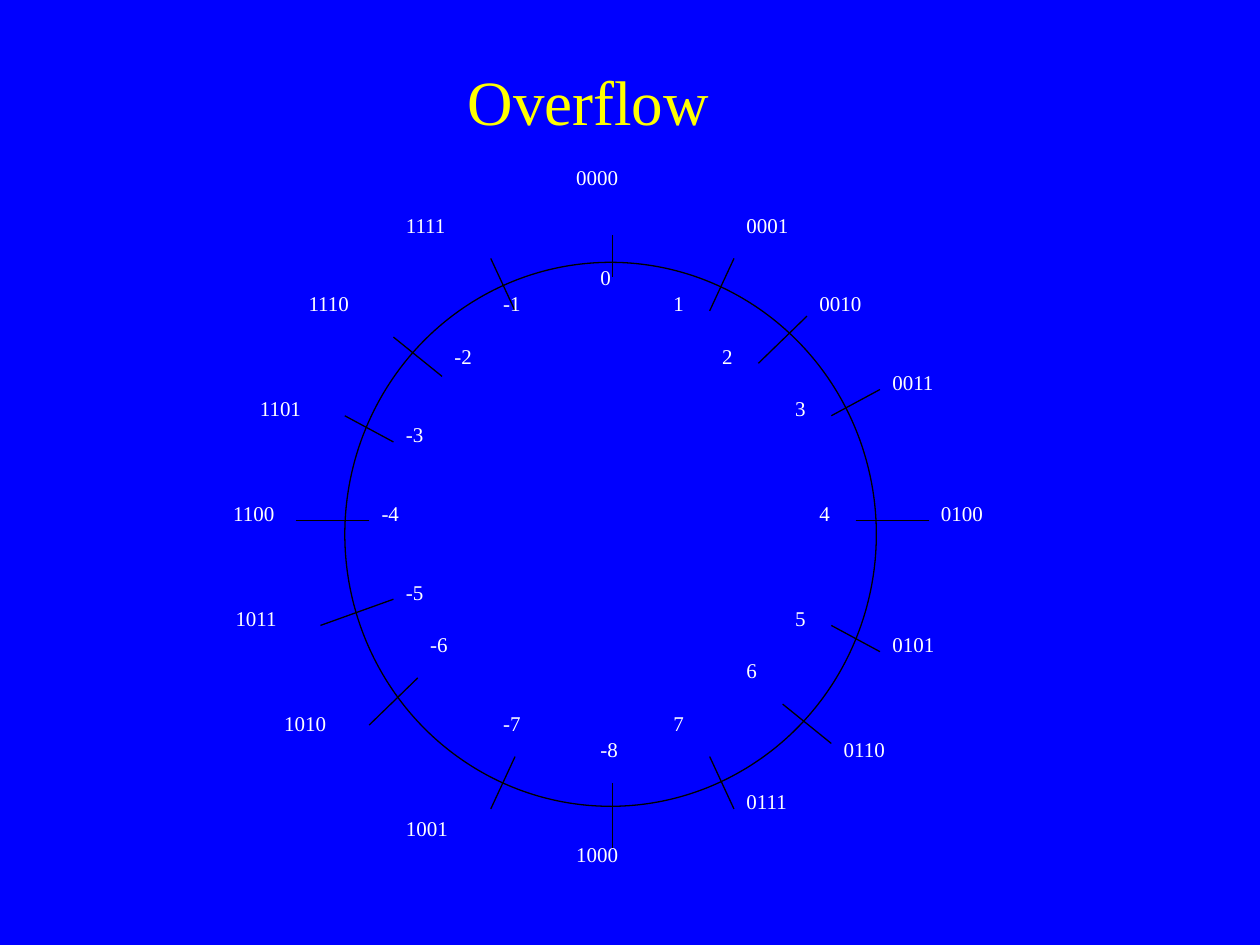
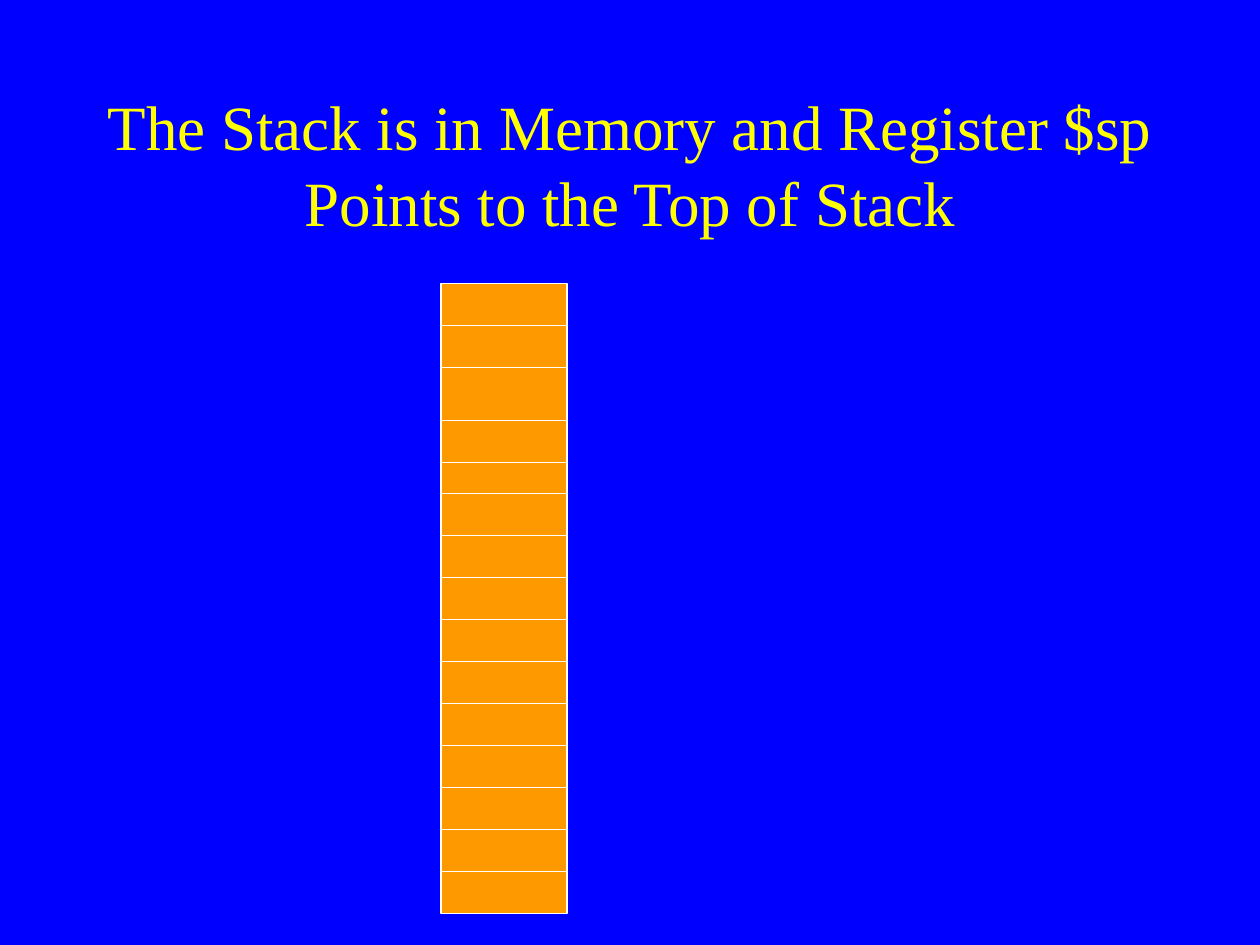
from itertools import accumulate

from lxml.etree import SubElement
from pptx import Presentation
from pptx.dml.color import RGBColor
from pptx.enum.shapes import MSO_CONNECTOR, MSO_SHAPE
from pptx.enum.text import MSO_ANCHOR, MSO_AUTO_SIZE, PP_ALIGN
from pptx.oxml.ns import qn
from pptx.util import Cm, Pt

BLUE, YELLOW, ORANGE = "0000FF", "FFFF00", "FF9900"
BLACK, WHITE = "000000", "FFFFFF"
FONT = "Times New Roman"
LINE_WIDTH = Pt(0.75)

TICKS = [
    (0, -10.9, 0, -9.3), (5, -10, 4, -8), (8, -7.8, 6, -6), (11, -5, 9, -4),
    (10, 0, 13, 0), (11, 5, 9, 4), (9, 8.5, 7, 7), (5, 11, 4, 9),
    (0, 10, 0, 12.5), (-4, 9, -5, 11), (-8, 6, -10, 7.8), (-9, 3, -12, 4),
    (-13, 0, -10, 0), (-9, -3, -11, -4), (-7, -5.5, -9, -7), (-4, -8, -5, -10),
]
CODE_SPOTS = [
    (-2, -13.8), (5, -12), (8, -9), (11, -6), (13, -1), (11, 4), (9, 8), (5, 10),
    (-2, 12), (-9, 11), (-14, 7), (-16, 3), (-16.1, -1), (-15, -5), (-13, -9), (-9, -12),
]
VALUE_SPOTS = [
    (-1, -10), (2, -9), (4, -7), (7, -5), (8, -1), (7, 3), (5, 5), (2, 7),
    (-1, 8), (-5, 7), (-8, 4), (-9, 2), (-10, -1), (-9, -4), (-7, -7), (-5, -9),
]
CELL_HEIGHTS = [4, 4, 5, 4, 3] + [4] * 10


def color(hex_code):
    return RGBColor.from_string(hex_code)


def write(frame, text, size=12, ink=WHITE, align=PP_ALIGN.LEFT, anchor=MSO_ANCHOR.TOP):
    frame.word_wrap = True
    frame.auto_size = MSO_AUTO_SIZE.NONE
    frame.vertical_anchor = anchor
    paragraph = frame.paragraphs[0]
    paragraph.alignment = align
    run = paragraph.add_run()
    run.text = text
    run.font.name = FONT
    run.font.size = Pt(size)
    run.font.color.rgb = color(ink)


def add_outline(shapes, preset, left, top, width, height, ink, fill=None):
    outline = shapes.add_shape(preset, Cm(left), Cm(top), Cm(width), Cm(height))
    outline.shadow.inherit = False
    if fill:
        outline.fill.solid()
        outline.fill.fore_color.rgb = color(fill)
    else:
        outline.fill.background()
    outline.line.color.rgb = color(ink)
    outline.line.width = LINE_WIDTH


def add_line(shapes, x1, y1, x2, y2, ink):
    line = shapes.add_connector(MSO_CONNECTOR.STRAIGHT, Cm(x1), Cm(y1), Cm(x2), Cm(y2))
    line.line.color.rgb = color(ink)
    line.line.width = LINE_WIDTH
    SubElement(line._element.spPr, qn("a:effectLst"))


def add_titled_slide(deck, text, left, top, width, height):
    slide = deck.slides.add_slide(deck.slide_layouts[5])
    title = slide.shapes.title
    title.left, title.top, title.width, title.height = map(Cm, (left, top, width, height))
    write(title.text_frame, text, size=36, ink=YELLOW,
          align=PP_ALIGN.CENTER, anchor=MSO_ANCHOR.MIDDLE)
    return slide


def draw_number_wheel(slide, left, top, width, height):
    wheel = slide.shapes.add_group_shape().shapes
    column, row = width / 26, height / 20

    def place(x, y):
        return left + (13 + x) * column, top + (10 + y) * row

    def label(text, spot, columns):
        x, y = place(*spot)
        box = wheel.add_textbox(Cm(x), Cm(y), Cm(columns * column), Cm(3 * row))
        write(box.text_frame, text)

    add_outline(wheel, MSO_SHAPE.OVAL, *place(-11, -9.85), 21.85 * column, 20.75 * row, BLACK)
    for number, (tick, code_spot, value_spot) in enumerate(zip(TICKS, CODE_SPOTS, VALUE_SPOTS)):
        add_line(wheel, *place(*tick[:2]), *place(*tick[2:]), BLACK)
        label(f"{number:04b}", code_spot, 5)
        label(str(number if number < 8 else number - 16), value_spot, 3)


def draw_stack(slide, left, top, width, height):
    add_outline(slide.shapes, MSO_SHAPE.RECTANGLE, left, top, width, height, WHITE, ORANGE)
    unit = height / sum(CELL_HEIGHTS)
    for depth in accumulate(CELL_HEIGHTS[:-1]):
        y = top + depth * unit
        add_line(slide.shapes, left, y, left + width, y, WHITE)


def main():
    deck = Presentation()
    deck.slide_width, deck.slide_height = Cm(25.4), Cm(19.05)
    backdrop = deck.slide_master.background.fill
    backdrop.solid()
    backdrop.fore_color.rgb = color(BLUE)

    overflow = add_titled_slide(deck, "Overflow", 2.97, 1.07, 17.78, 1.9)
    draw_number_wheel(overflow, 5.97, 5.21, 12.75, 10.57)

    stack = add_titled_slide(
        deck, "The Stack is in Memory and Register $sp Points to the Top of Stack",
        1.9, 1.7, 21.6, 3.18)
    draw_stack(stack, 8.89, 5.72, 2.54, 12.7)

    deck.save("out.pptx")


if __name__ == "__main__":
    main()
